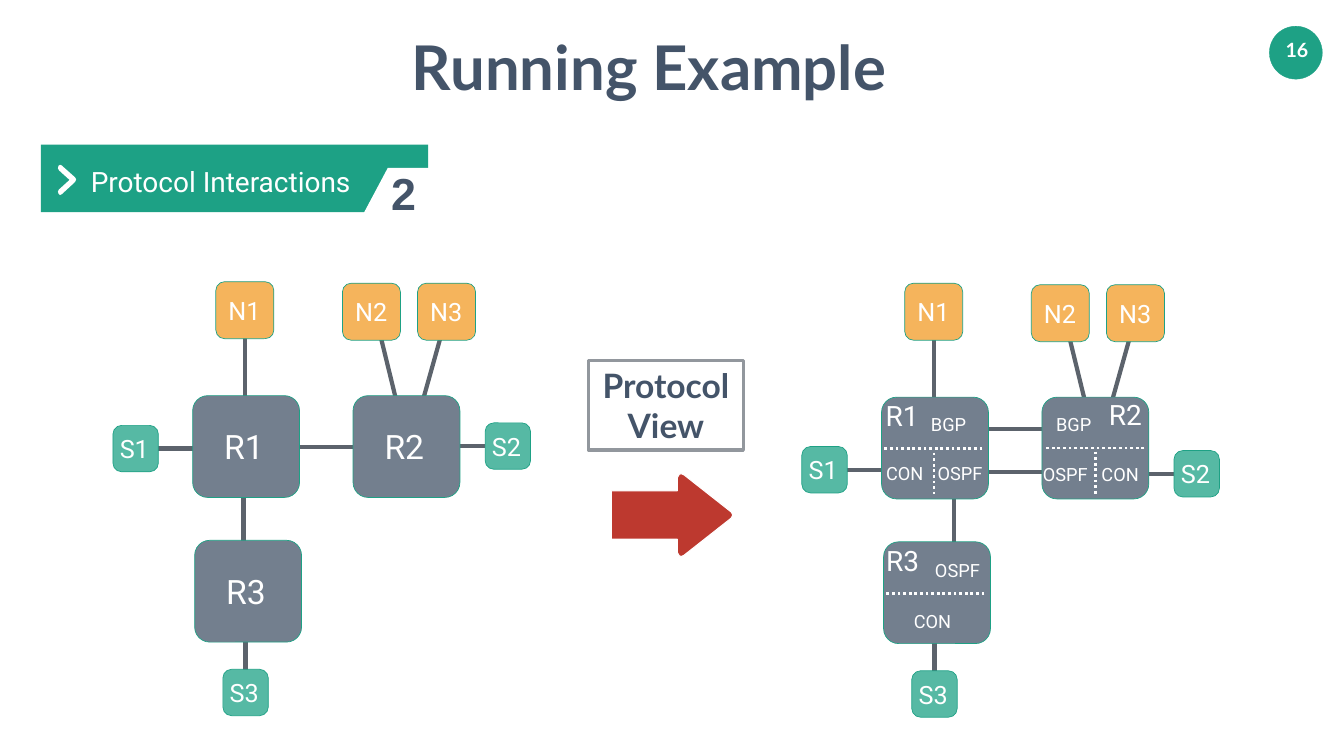
import dataclasses
import typing

import lxml.etree
import pptx
import pptx.dml.color
import pptx.enum.dml
import pptx.enum.shapes
import pptx.enum.text
import pptx.oxml.ns
import pptx.util

Inches = pptx.util.Inches
Pt = pptx.util.Pt
Form = pptx.enum.shapes.MSO_SHAPE
Align = pptx.enum.text.PP_ALIGN
Anchor = pptx.enum.text.MSO_ANCHOR
Fit = pptx.enum.text.MSO_AUTO_SIZE
Point = tuple[float, float]
Area = tuple[float, float, float, float]

GREEN, WHITE, NAVY, GREY = "1EA185", "FFFFFF", "445469", "5C636C"
SHIFT = (13.66, 0.03)


@dataclasses.dataclass
class Kind:
    size: Point
    text: Point
    fill: str
    curve: float
    points: int


@dataclasses.dataclass
class Node:
    name: str
    kind: Kind
    left: float
    top: float


@dataclasses.dataclass
class Link:
    start: Point
    end: Point


@dataclasses.dataclass
class Label:
    text: str
    left: float
    top: float


STUB = Kind((0.9, 0.92), (0.73, 0.7), "56B9A4", 0.191, 36)
PEER = Kind((1.15, 1.13), (0.75, 0.7), "F5B45C", 0.152, 36)
ROUTER = Kind((2.12, 2.02), (0.97, 0.91), "737F8E", 0.148, 48)
SIZES = {"OSPF": (1.1, 0.53), "CON": (0.92, 0.53), "BGP": (0.88, 0.53)}

NODES = [
    Node("S3", STUB, 4.42, 13.28),
    Node("N1", PEER, 4.28, 5.59),
    Node("N2", PEER, 6.79, 5.62),
    Node("N3", PEER, 8.28, 5.62),
    Node("R1", ROUTER, 3.82, 7.85),
    Node("R2", ROUTER, 7, 7.85),
    Node("R3", ROUTER, 3.86, 10.72),
]
LINKS = [
    Link((4.87, 13.37), (4.87, 12.22)),
    Link((4.86, 8.82), (4.86, 6.03)),
    Link((8.03, 8.65), (7.37, 5.95)),
    Link((8.17, 8.71), (8.93, 6)),
]
PLAIN = [Link((4.83, 11.5), (4.83, 8.71)), Link((7.35, 8.87), (4.9, 8.87))]
SPLIT = [
    Link((7.56, 9.34), (5.11, 9.34)),
    Link((5.26, 11.49), (5.26, 8.7)),
    Link((7.35, 8.49), (4.9, 8.49)),
]
DOTS = [
    Link((19.48, 8.9), (17.52, 8.9)),
    Link((18.52, 8.98), (18.52, 9.81)),
    Link((22.69, 8.89), (20.73, 8.89)),
    Link((21.72, 8.96), (21.72, 9.83)),
    Link((19.52, 11.78), (17.56, 11.78)),
]
PARTS = [
    Label("OSPF", 18.54, 9.13), Label("CON", 17.52, 9.13), Label("BGP", 18.41, 8.16),
    Label("BGP", 20.89, 8.16), Label("OSPF", 20.63, 9.14), Label("CON", 21.79, 9.14),
    Label("OSPF", 18.49, 11.05), Label("CON", 18.07, 12.06),
]
HEADS = [Label("R1", 17.51, 7.85), Label("R2", 21.94, 7.84), Label("R3", 17.52, 10.74)]


def hue(code: str) -> pptx.dml.color.RGBColor:
    return pptx.dml.color.RGBColor.from_string(code)


def apply(item: typing.Any, style: dict[str, typing.Any]) -> None:
    for key, value in style.items():
        setattr(item, key, value)


def place(shape: typing.Any, area: Area) -> None:
    apply(shape, dict(zip(("left", "top", "width", "height"), map(Inches, area))))


def paint(shape: typing.Any, fill: str = "", edge: str = "", width: float = 1) -> None:
    shape.shadow.inherit = False
    if fill:
        shape.fill.solid()
        shape.fill.fore_color.rgb = hue(fill)
    else:
        shape.fill.background()
    if edge:
        shape.line.color.rgb = hue(edge)
        shape.line.width = Pt(width)
    else:
        shape.line.fill.background()


def write(shape: typing.Any, lines: list[str], size: int, face: str = "Roboto",
          tint: str = WHITE, bold: bool = False, align: typing.Any = Align.LEFT,
          pad: float = 0.05, space: float = 1, **style: typing.Any) -> None:
    frame = shape.text_frame
    sides = ("left", "top", "right", "bottom")
    apply(frame, {f"margin_{side}": Inches(pad) for side in sides})
    apply(frame, {"word_wrap": False, "auto_size": Fit.SHAPE_TO_FIT_TEXT,
                  "vertical_anchor": Anchor.TOP, **style})
    frame.text = "\n".join(lines)
    for para in frame.paragraphs:
        apply(para, {"alignment": align, "line_spacing": space})
        font = para.runs[0].font
        apply(font, {"size": Pt(size), "name": face, "bold": bold})
        font.color.rgb = hue(tint)


def label(shapes: typing.Any, text: str, area: Area, size: int, **style: typing.Any) -> None:
    write(shapes.add_textbox(*map(Inches, area)), [text], size, **style)


def block(shapes: typing.Any, form: typing.Any, area: Area, **style: typing.Any) -> typing.Any:
    shape = shapes.add_shape(form, *map(Inches, area))
    paint(shape, **style)
    return shape


def outline(shapes: typing.Any, points: list[Point], **style: typing.Any) -> None:
    spots = [(Inches(x), Inches(y)) for x, y in points]
    pen = shapes.build_freeform(*spots[0])
    pen.add_line_segments(spots[1:], close=True)
    paint(pen.convert_to_shape(), **style)


def wire(shapes: typing.Any, link: Link, shift: Point = (0, 0), tint: str = GREY,
         width: float = 6, dash: typing.Any = None) -> None:
    ends = [Inches(spot + step) for end in (link.start, link.end)
            for spot, step in zip(end, shift)]
    line = shapes.add_connector(pptx.enum.shapes.MSO_CONNECTOR.STRAIGHT, *ends)
    line.line.color.rgb = hue(tint)
    apply(line.line, {"width": Pt(width), "dash_style": dash})
    lxml.etree.SubElement(line._element.spPr, pptx.oxml.ns.qn("a:effectLst"))


def graph(slide: typing.Any, links: list[Link], west: float, east: float,
          shift: Point = (0, 0), named: bool = True) -> typing.Any:
    shapes = slide.shapes.add_group_shape().shapes
    stubs = [Node("S1", STUB, 2.24, west), Node("S2", STUB, 9.62, east)]
    sides = [Link((4.54, west + 0.46), (2.73, west + 0.46)),
             Link((10.25, east + 0.46), (8.44, east + 0.46))]
    for link in links + sides + LINKS:
        wire(shapes, link, shift)
    for node in stubs + NODES:
        kind = node.kind
        left, top = node.left + shift[0], node.top + shift[1]
        wide, high = kind.size
        box = block(shapes, Form.ROUNDED_RECTANGLE, (left, top, wide, high),
                    fill=kind.fill, edge=GREEN)
        box.adjustments[0] = kind.curve
        if named or kind is not ROUTER:
            across, down = kind.text
            area = (left + (wide - across) / 2, top + (high - down) / 2, across, down)
            label(shapes, node.name, area, kind.points)
    return shapes


def main() -> None:
    deck = pptx.Presentation()
    apply(deck, {"slide_width": Inches(26.65), "slide_height": Inches(15)})
    slide = deck.slides.add_slide(deck.slide_layouts[5])
    shapes = slide.shapes

    place(shapes.title, (8.11, 0.53, 10.44, 1.57))
    write(shapes.title, ["Running Example"], 88, "Lato", NAVY, True, Align.CENTER,
          margin_right=Inches(0.97))
    block(shapes, Form.OVAL, (25.17, 0.52, 1.05, 1.05), fill=GREEN, edge=GREEN, width=0.5)
    label(shapes, "16", (25.39, 0.66, 0.65, 0.67), 28, face="Lato", bold=True,
          align=Align.CENTER, pad=0.1)

    graph(slide, PLAIN, 8.44, 8.39)
    split = graph(slide, SPLIT, 8.83, 8.91, SHIFT, False)
    for link in DOTS:
        wire(split, link, tint=WHITE, width=4, dash=pptx.enum.dml.MSO_LINE.ROUND_DOT)
    for part in PARTS:
        label(split, part.text, (part.left, part.top, *SIZES[part.text]), 26)
    for head in HEADS:
        label(split, head.text, (head.left, head.top, 0.82, 0.77), 40)

    outline(shapes, [(13.56, 9.42), (13.51, 9.4), (13.47, 9.41), (13.43, 9.48),
                     (13.43, 9.74), (12.12, 9.74), (12.12, 10.7), (13.43, 10.7),
                     (13.43, 10.96), (13.47, 11.03), (13.51, 11.04), (13.56, 11.02),
                     (14.5, 10.28), (14.53, 10.22), (14.5, 10.16)],
            fill="BD392F", edge=WHITE, width=1.5)
    view = block(shapes, Form.RECTANGLE, (11.67, 7.15, 3.07, 1.78), edge="92979D", width=5)
    write(view, ["Protocol", "View"], 48, "Lato", NAVY, True, Align.CENTER,
          vertical_anchor=Anchor.MIDDLE)

    block(shapes, Form.RECTANGLE, (0.81, 2.87, 7.68, 1.34), fill="1DA185")
    outline(shapes, [(8.51, 3.33), (7.69, 3.33), (7.19, 4.27), (8.51, 4.27)], fill=WHITE)
    outline(shapes, [(1.17, 3.76), (1.38, 3.57), (1.17, 3.38), (1.15, 3.34), (1.16, 3.29),
                     (1.19, 3.27), (1.22, 3.28), (1.49, 3.52), (1.51, 3.56), (1.49, 3.61),
                     (1.23, 3.85), (1.19, 3.87), (1.16, 3.84), (1.15, 3.8)], fill=WHITE)
    label(shapes, "Protocol Interactions", (1.68, 3.08, 5.93, 1.08), 40, pad=0.12,
          space=1.1, word_wrap=True, auto_size=Fit.NONE)
    label(shapes, "2", (7.66, 3.18, 0.65, 1.08), 64, face="Arial", tint=NAVY, bold=True,
          align=Align.RIGHT, pad=0.1, word_wrap=True, auto_size=Fit.NONE)
    deck.save("out.pptx")


if __name__ == "__main__":
    main()
